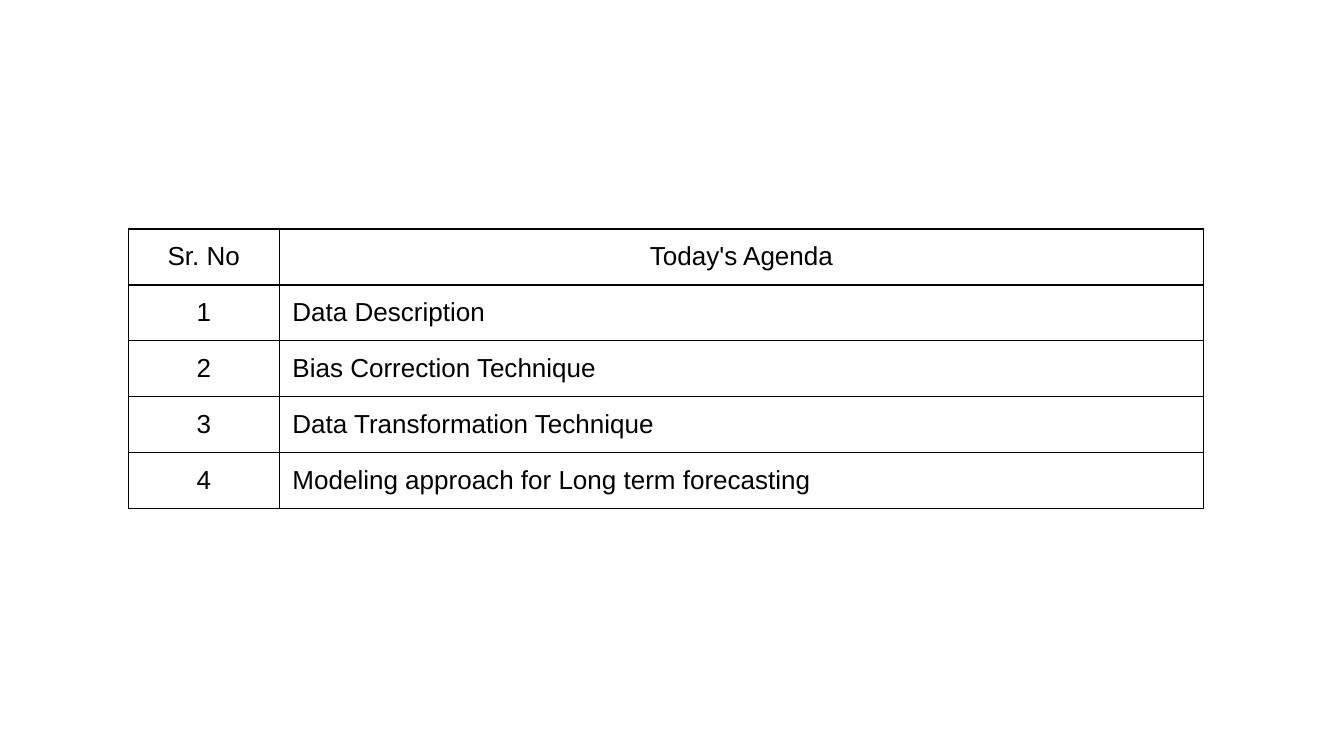
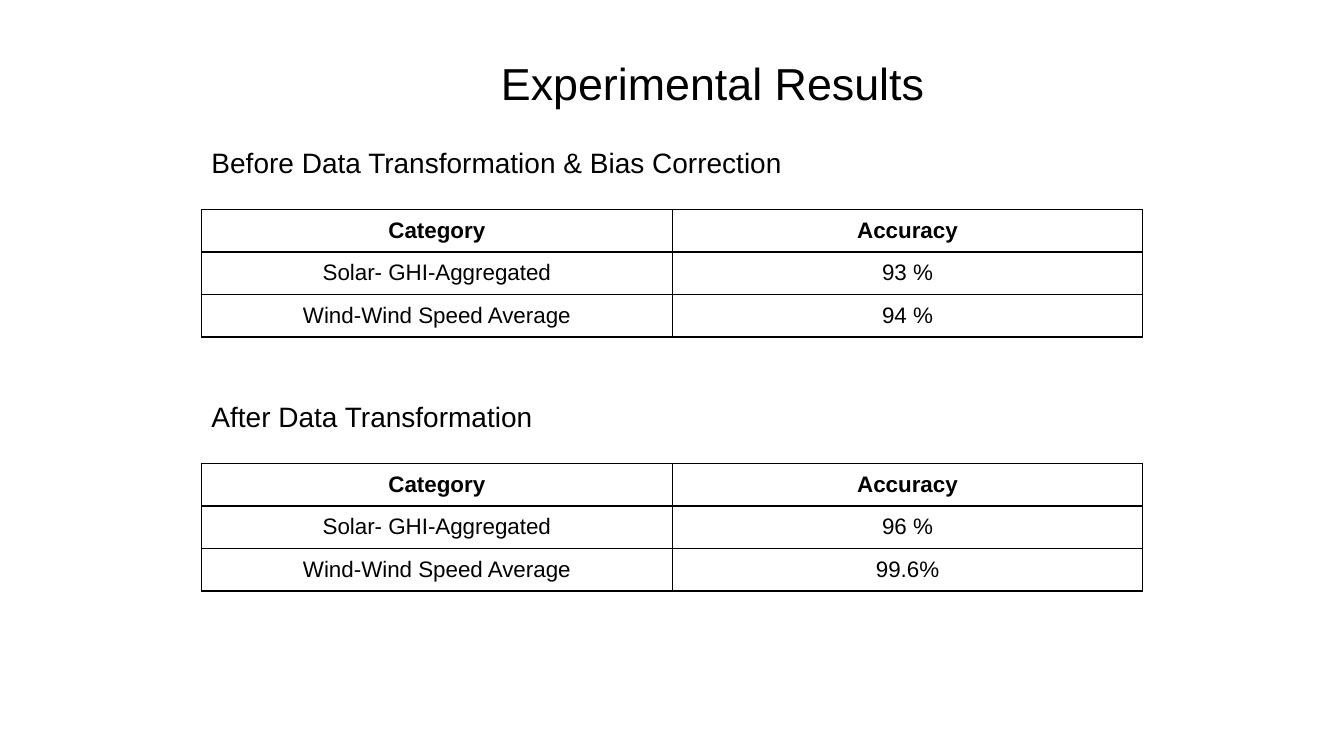
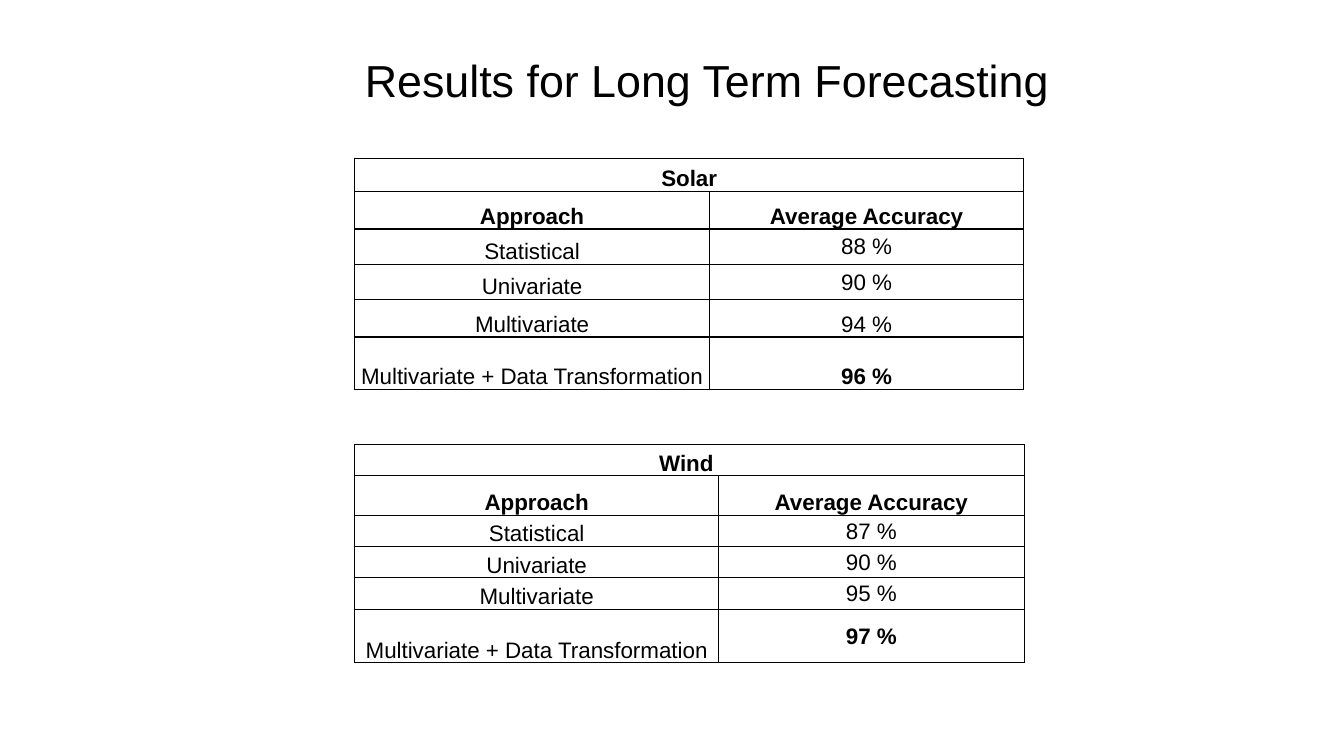
from lxml import etree
from pptx import Presentation
from pptx.dml.color import RGBColor
from pptx.enum.text import MSO_ANCHOR as Anchor, MSO_AUTO_SIZE as AutoSize, PP_ALIGN as Align
from pptx.oxml.ns import qn
from pptx.util import Cm, Pt

# Content
AGENDA = [
    ("Sr. No", "Today's Agenda"),
    ("1", "Data Description"),
    ("2", "Bias Correction Technique"),
    ("3", "Data Transformation Technique"),
    ("4", "Modeling approach for Long term forecasting"),
]

EXPERIMENT_TITLE = "Experimental Results"
EXPERIMENTS = [
    ("Before Data Transformation & Bias Correction", ("93 %", "94 %")),
    ("After Data Transformation", ("96 %", "99.6%")),
]
EXPERIMENT_HEADER = ("Category", "Accuracy")
CATEGORIES = ("Solar- GHI-Aggregated", "Wind-Wind Speed Average")

FORECAST_TITLE = "Results for Long Term Forecasting"
FORECAST_HEADER = ("Approach", "Average Accuracy")
APPROACHES = ("Statistical", "Univariate", "Multivariate",
              "Multivariate + Data Transformation")
# Accuracies vertically centred in their row come first, the rest sit at the bottom
FORECASTS = [
    dict(source="Solar", accuracies=("88 %", "90 %", "94 %", "96 %"), centred=2,
         top=3.99, widths=(8.94, 7.92), heights=(0.84, 0.94, 0.89, 0.89, 0.94, 1.32)),
    dict(source="Wind ", accuracies=("87 %", "90 %", "95 %", "97 %"), centred=4,
         top=11.2, widths=(9.17, 7.7), heights=(0.79, 0.99, 0.79, 0.79, 0.79, 1.35)),
]

# Shared style
COLORS = {"text": "000000", "border": "000000", "background": "FFFFFF"}
FONT = "Arial"
TITLE_SIZE, CAPTION_SIZE, AGENDA_SIZE, RESULT_SIZE = 32, 20, 18.6, 16
TITLE_HEIGHT, CAPTION_HEIGHT = 1.63, 1.12
BORDER_WIDTH = Pt(1)

deck = Presentation()
deck.slide_width, deck.slide_height = Cm(33.87), Cm(19.05)
TITLE_ONLY, BLANK = deck.slide_layouts[5], deck.slide_layouts[6]
backdrop = deck.slide_master.background.fill
backdrop.solid()
backdrop.fore_color.rgb = RGBColor.from_string(COLORS["background"])


def write(frame, text, size, bold=False, align=Align.LEFT):
    paragraph = frame.paragraphs[0]
    paragraph.alignment = align
    run = paragraph.add_run()
    run.text = text
    run.font.name = FONT
    run.font.size = Pt(size)
    run.font.bold = bold
    run.font.color.rgb = RGBColor.from_string(COLORS["text"])


def add_titled_slide(text, left, top, width):
    slide = deck.slides.add_slide(TITLE_ONLY)
    title = slide.shapes.title
    title.left, title.top = Cm(left), Cm(top)
    title.width, title.height = Cm(width), Cm(TITLE_HEIGHT)
    title.text_frame.auto_size = AutoSize.NONE
    title.text_frame.vertical_anchor = Anchor.TOP
    write(title.text_frame, text, TITLE_SIZE)
    return slide


def add_caption(slide, text, left, top, width):
    caption = slide.shapes.add_textbox(Cm(left), Cm(top), Cm(width), Cm(CAPTION_HEIGHT))
    caption.text_frame.word_wrap = True
    write(caption.text_frame, text, CAPTION_SIZE)


def draw_borders(cell):
    properties = cell._tc.get_or_add_tcPr()
    for position, side in enumerate(("lnL", "lnR", "lnT", "lnB")):
        line = etree.Element(qn(f"a:{side}"), w=str(BORDER_WIDTH))
        fill = etree.SubElement(line, qn("a:solidFill"))
        etree.SubElement(fill, qn("a:srgbClr"), val=COLORS["border"])
        properties.insert(position, line)


def add_grid(slide, rows, left, top, widths, heights, size, margins, style):
    """style(row, column) gives alignment, anchor and bold of a cell."""
    grid = slide.shapes.add_table(len(rows), len(widths), Cm(left), Cm(top),
                                  Cm(sum(widths)), Cm(sum(heights))).table
    grid.first_row = grid.horz_banding = False
    for column, width in zip(grid.columns, widths):
        column.width = Cm(width)
    for r, texts in enumerate(rows):
        grid.rows[r].height = Cm(heights[r])
        for c in range(len(widths)):
            cell = grid.cell(r, c)
            (cell.margin_left, cell.margin_top,
             cell.margin_right, cell.margin_bottom) = map(Cm, margins)
            cell.fill.background()
            draw_borders(cell)
            if c < len(texts):
                align, cell.vertical_anchor, bold = style(r, c)
                write(cell.text_frame, texts[c], size, bold, align)
        # A row with a single text spans the whole grid
        if len(texts) == 1:
            grid.cell(r, 0).merge(grid.cell(r, len(widths) - 1))


# Agenda
agenda_slide = deck.slides.add_slide(BLANK)
add_grid(agenda_slide, AGENDA, 3.23, 5.77, (3.81, 23.29), [1.41] * len(AGENDA),
         AGENDA_SIZE, (0.33, 0.18, 0.33, 0.18),
         lambda r, c: (Align.LEFT if r and c else Align.CENTER, Anchor.MIDDLE, False))

# Experimental results
experiment_slide = add_titled_slide(EXPERIMENT_TITLE, 12.37, 1.27, 14.43)
for index, (caption, accuracies) in enumerate(EXPERIMENTS):
    offset = index * 6.4
    add_caption(experiment_slide, caption, 5.08, 3.54 + offset, 22.68)
    add_grid(experiment_slide, [EXPERIMENT_HEADER, *zip(CATEGORIES, accuracies)],
             5.08, 5.28 + offset, (11.86, 11.86), [1.07] * 3,
             RESULT_SIZE, (0.18, 0, 0.18, 0),
             lambda r, c: (Align.CENTER, Anchor.MIDDLE, r == 0))

# Long term forecasting
forecast_slide = add_titled_slide(FORECAST_TITLE, 8.94, 1.19, 20.7)
for forecast in FORECASTS:
    rows = [(forecast["source"],), FORECAST_HEADER, *zip(APPROACHES, forecast["accuracies"])]

    def forecast_style(r, c):
        centred = c == 1 and 2 <= r < 2 + forecast["centred"]
        best = c == 1 and r == len(rows) - 1
        return Align.CENTER, Anchor.MIDDLE if centred else Anchor.BOTTOM, r < 2 or best

    add_grid(forecast_slide, rows, 8.94, forecast["top"], forecast["widths"],
             forecast["heights"], RESULT_SIZE, (0.03, 0.03, 0.03, 0), forecast_style)

deck.save("out.pptx")
